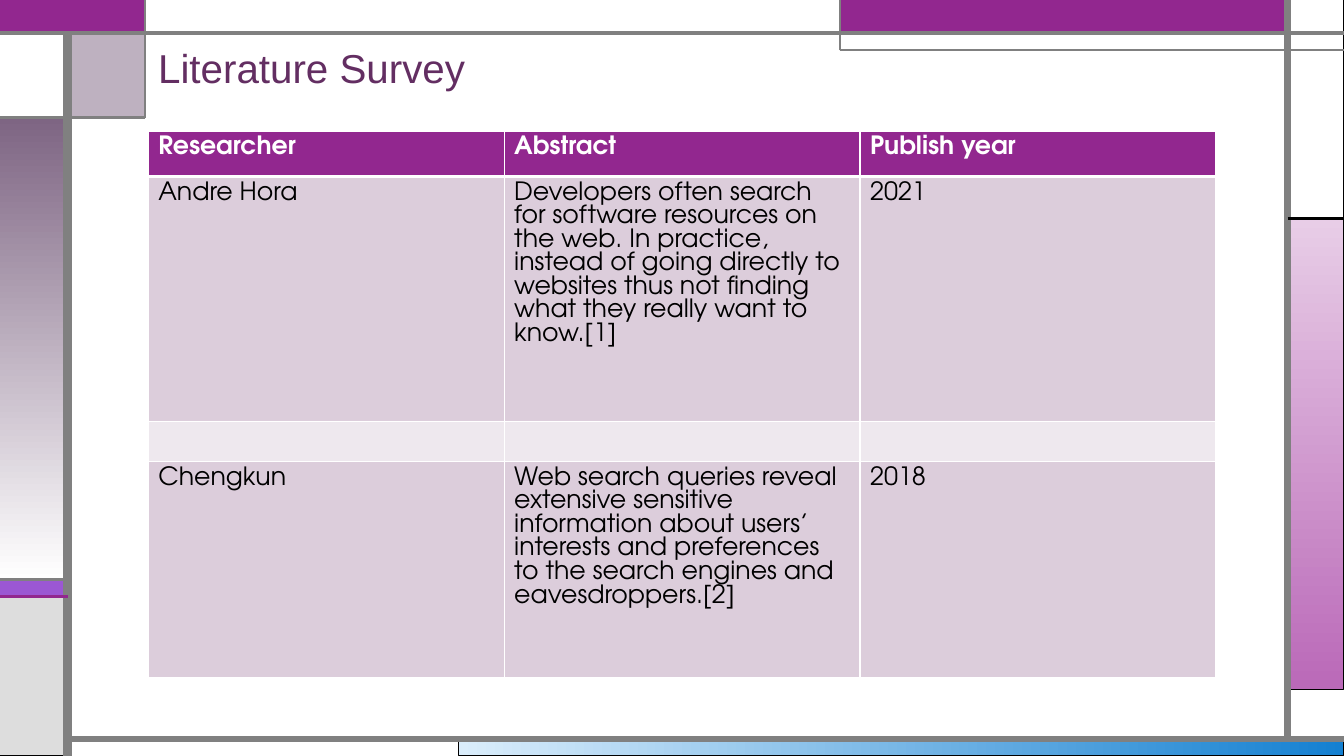
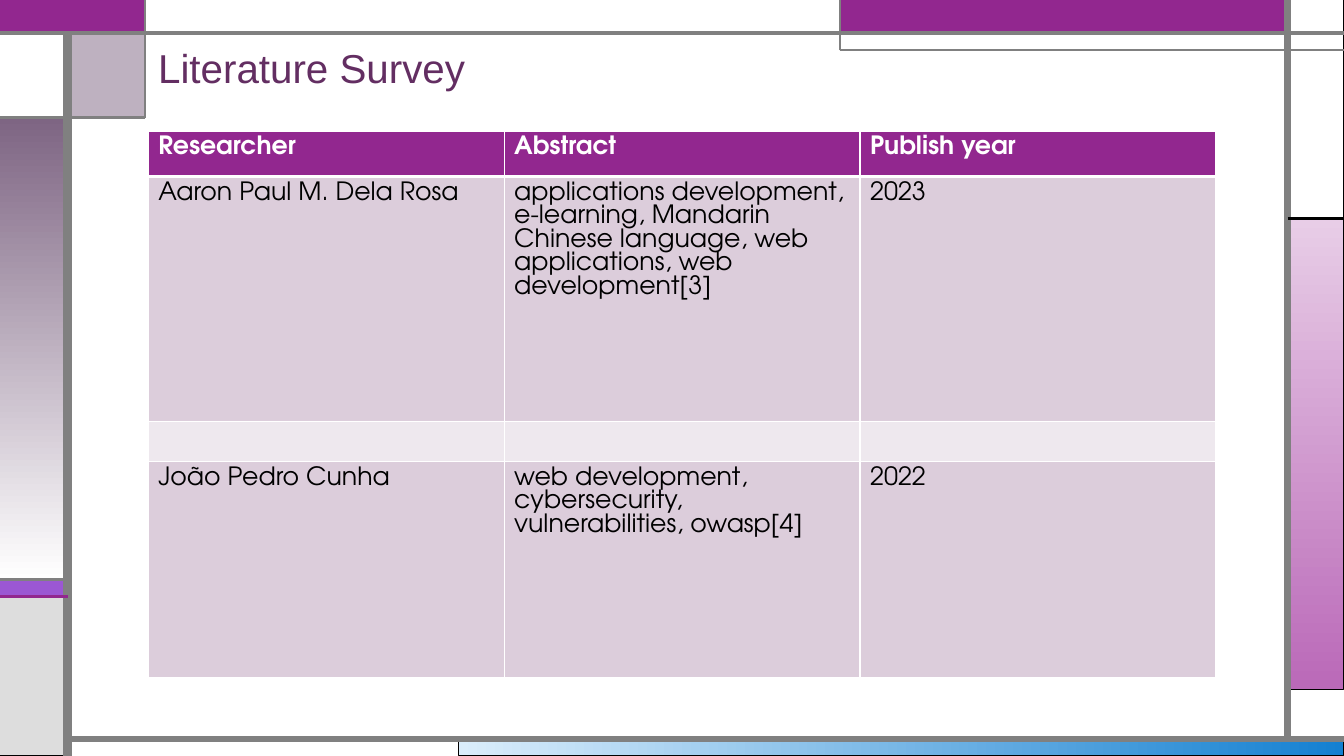
from lxml.etree import SubElement
from pptx import Presentation
from pptx.dml.color import RGBColor
from pptx.enum.shapes import MSO_CONNECTOR, MSO_SHAPE
from pptx.enum.text import MSO_ANCHOR
from pptx.oxml.ns import qn
from pptx.util import Inches, Pt

TITLE = "Literature Survey"
HEADERS = ("Researcher", "Abstract", "Publish year")
SURVEYS = [
    [
        ("Andre Hora",
         "Developers often search for software resources on the web. In practice, "
         "instead of going directly to websites thus not finding what they really "
         "want to know.[1]",
         "2021"),
        ("Chengkun",
         "Web search queries reveal extensive sensitive information about users’ "
         "interests and preferences to the search engines and eavesdroppers.[2]",
         "2018"),
    ],
    [
        ("Aaron Paul M. Dela Rosa",
         "applications development, e-learning, Mandarin Chinese language, "
         "web applications, web development[3]",
         "2023"),
        ("João Pedro Cunha",
         "web development, cybersecurity, vulnerabilities, owasp[4]",
         "2022"),
    ],
]

PURPLE, MAUVE, GREY = "92278F", "7E6583", "808080"
BLACK, WHITE = "000000", "FFFFFF"
TITLE_FONT = {"name": "Arial", "size": Pt(28.8)}
CELL_FONT = {"name": "TeX Gyre Adventor", "size": Pt(18)}

# Frame guides, in inches
W, H = 13.33, 7.5
LEFT, RIGHT, TOP, BOTTOM = 0.67, 12.77, 0.33, 7.33
TAB_X, TAB_Y = 1.44, 1.17
BAR_X, BAR_Y = 8.33, 0.5
STRIP_TOP, STRIP_BOTTOM = 5.75, 5.92
SIDE_Y = 2.17

# (left, top, right, bottom), fill, line colour, line width
# A fill is a colour, (colour, opacity %) or (start, end, counter-clockwise angle)
PANELS = [
    ((4.55, BOTTOM, W, H), ("DAEDFB", "1480D1", 0), BLACK, 0.75),
    ((RIGHT, SIDE_Y, W, 6.84), ("E8CDE7", "BA69B8", 270), BLACK, 0.75),
    ((0, STRIP_TOP, LEFT, STRIP_BOTTOM), "9B57D3", BLACK, 0.75),
    ((0, STRIP_BOTTOM, LEFT, H), "DDDDDD", BLACK, 0.75),
    ((RIGHT, 0, W, SIDE_Y), WHITE, BLACK, 0.75),
    ((BAR_X, 0, RIGHT, TOP), PURPLE, "755DD9", 0.75),
    ((LEFT, TOP, TAB_X, TAB_Y), (MAUVE, 50), BLACK, 0.75),
    ((0, TAB_Y, LEFT, STRIP_TOP), (MAUVE, WHITE, 270), BLACK, 0.75),
    ((0, TOP, LEFT, TAB_Y), WHITE, BLACK, 0.75),
    ((0, 0, TAB_X, TOP), PURPLE, PURPLE, 1.5),
    ((TAB_X, 0, BAR_X, TOP), WHITE, GREY, 0.75),
]
# (x1, y1, x2, y2), colour, width
RULES = [
    ((LEFT, H, LEFT, TOP), GREY, 6),
    ((LEFT, BOTTOM, W, BOTTOM), GREY, 4.5),
    ((RIGHT, BOTTOM, RIGHT, 0), GREY, 4.5),
    ((0, TOP, W, TOP), GREY, 3),
    ((W, BAR_Y, BAR_X, BAR_Y), GREY, 1.5),
    ((BAR_X, BAR_Y, BAR_X, 0), GREY, 1.5),
    ((RIGHT, SIDE_Y, W, SIDE_Y), BLACK, 2.25),
    ((TAB_X, 0, TAB_X, TAB_Y), GREY, 1.5),
    ((TAB_X, TAB_Y, 0, TAB_Y), GREY, 2.25),
    ((LEFT, STRIP_TOP, 0, STRIP_TOP), GREY, 2.25),
    ((LEFT, STRIP_BOTTOM, 0, STRIP_BOTTOM), PURPLE, 2.25),
]

TABLE_X, TABLE_Y, COL_W = 1.47, 1.3, 3.53
ROW_HEIGHTS = (0.45, 2.43, 0.39, 2.14)
ROW_FILLS = (PURPLE, "DCCDDB", "EEE8EE", "DCCDDB")


def rgb(color):
    return RGBColor.from_string(color)


def set_fill(sp, fill):
    if isinstance(fill, tuple) and len(fill) == 3:
        sp.fill.gradient()
        sp.fill.gradient_angle = fill[2]
        for stop, color in zip(sp.fill.gradient_stops, fill):
            stop.color.rgb = rgb(color)
        return
    color, opacity = fill if isinstance(fill, tuple) else (fill, 100)
    sp.fill.solid()
    sp.fill.fore_color.rgb = rgb(color)
    if opacity < 100:
        clr = sp.fill._xPr.find(qn("a:solidFill"))[0]
        SubElement(clr, qn("a:alpha"), val=str(opacity * 1000))


def set_line(sp, color, width):
    sp.line.color.rgb = rgb(color)
    sp.line.width = Pt(width)


def add_text(p, text, font, color, bold=False):
    r = p.add_run()
    r.text = text
    for name, value in {**font, "bold": bold}.items():
        setattr(r.font, name, value)
    r.font.color.rgb = rgb(color)


def add_frame(s):
    for (x1, y1, x2, y2), fill, color, width in PANELS:
        box = [Inches(v) for v in (x1, y1, x2 - x1, y2 - y1)]
        sp = s.shapes.add_shape(MSO_SHAPE.RECTANGLE, *box)
        sp.shadow.inherit = False
        set_fill(sp, fill)
        set_line(sp, color, width)
    for ends, color, width in RULES:
        rule = s.shapes.add_connector(MSO_CONNECTOR.STRAIGHT, *map(Inches, ends))
        set_line(rule, color, width)
        SubElement(rule._element.spPr, qn("a:effectLst"))


def add_title(s):
    box = s.shapes.add_textbox(*map(Inches, (TABLE_X, 0.36, 3.43, 0.6)))
    tf = box.text_frame
    tf.word_wrap = True
    tf.vertical_anchor = MSO_ANCHOR.BOTTOM
    p = tf.paragraphs[0]
    p.line_spacing = 0.9
    add_text(p, TITLE, TITLE_FONT, "632E62")


def set_borders(cell, widths):
    """Draw white borders; widths maps L, R, T and B to points."""
    tcPr = cell._tc.get_or_add_tcPr()
    for side, width in widths.items():
        ln = SubElement(tcPr, qn(f"a:ln{side}"), w=str(Pt(width)))
        SubElement(SubElement(ln, qn("a:solidFill")), qn("a:srgbClr"), val=WHITE)


def add_survey(s, papers):
    first, second = papers
    rows = (HEADERS, first, ("",) * len(HEADERS), second)
    size = (COL_W * len(HEADERS), sum(ROW_HEIGHTS))
    table = s.shapes.add_table(len(rows), len(HEADERS),
                               *map(Inches, (TABLE_X, TABLE_Y, *size))).table
    for col in table.columns:
        col.width = Inches(COL_W)
    for i, texts in enumerate(rows):
        table.rows[i].height = Inches(ROW_HEIGHTS[i])
        header = i == 0
        for j, text in enumerate(texts):
            cell = table.cell(i, j)
            set_borders(cell, {"L": 1, "R": 1, "T": 3 if i == 1 else 1,
                               "B": 3 if header else 1})
            set_fill(cell, ROW_FILLS[i])
            add_text(cell.text_frame.paragraphs[0], text, CELL_FONT,
                     WHITE if header else BLACK, header)


def main():
    prs = Presentation()
    prs.slide_width, prs.slide_height = Inches(W), Inches(H)
    for papers in SURVEYS:
        s = prs.slides.add_slide(prs.slide_layouts[6])
        add_frame(s)
        add_title(s)
        add_survey(s, papers)
    prs.save("out.pptx")


if __name__ == "__main__":
    main()
